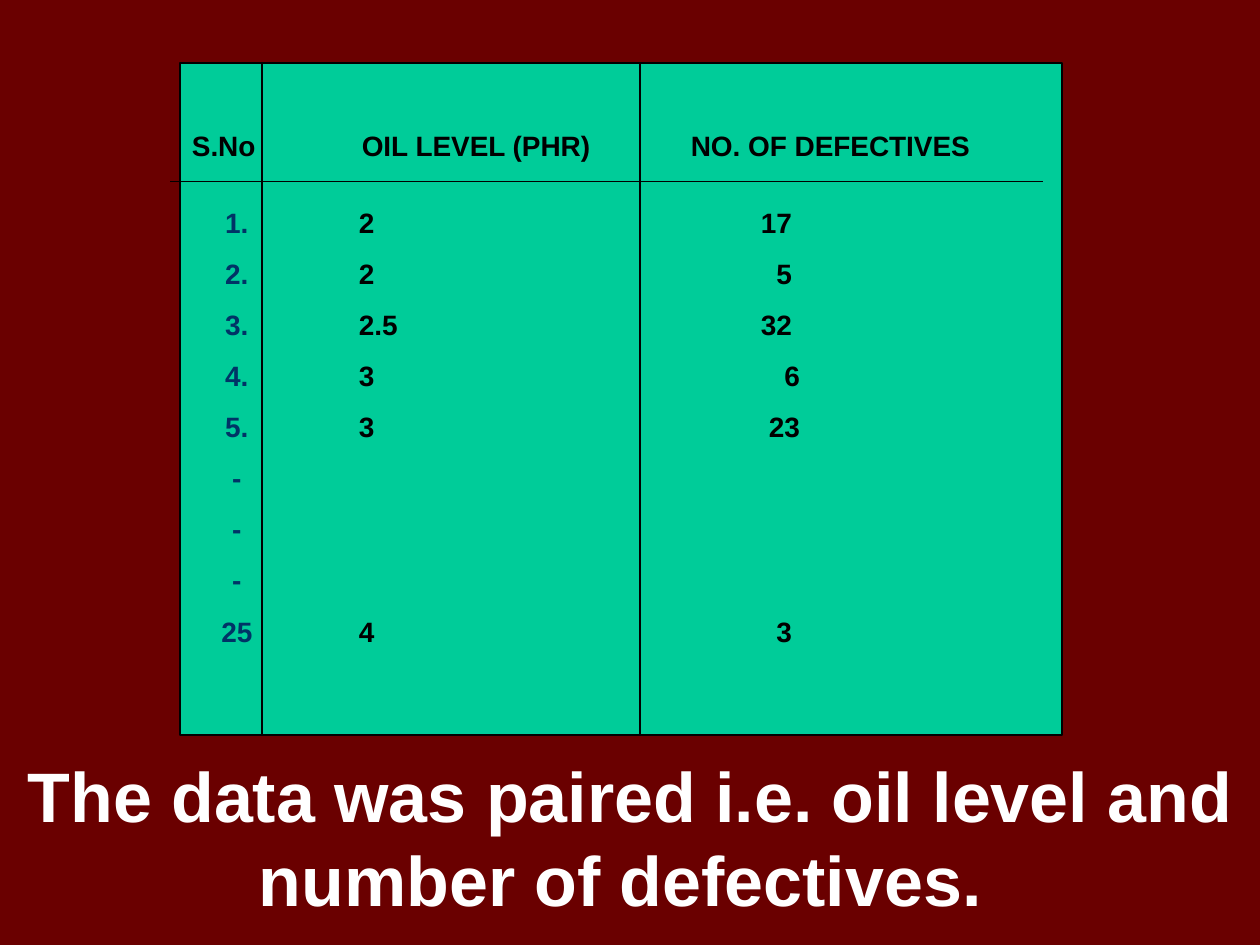
import pptx
import pptx.util
import pptx.dml.color
import pptx.enum.shapes
import pptx.enum.text
import pptx.oxml.ns
import lxml.etree

Pt = pptx.util.Pt
RGBColor = pptx.dml.color.RGBColor
ALIGN = pptx.enum.text.PP_ALIGN
qn = pptx.oxml.ns.qn

MAROON = RGBColor(0x6A, 0x00, 0x00)
GREEN = RGBColor(0x00, 0xCC, 0x99)
NAVY = RGBColor(0x00, 0x33, 0x66)
BLACK = RGBColor(0x00, 0x00, 0x00)
WHITE = RGBColor(0xFF, 0xFF, 0xFF)

ROW_GAP = 10
ROW_PITCH = 29.2
TABLE_TOP, TABLE_BOTTOM = 36, 420
COLUMN_EDGES = (149.76, 365.76)
ROWS_TOP, ROWS_HEIGHT = 113.76, 259.92

SERIALS = ["1.", "2.", "3.", "4.", "5.", "-", "-", "-", "25"]
READINGS = [
    ("2", "17", 247.4, 0),
    ("2", "5", 247.4, 0),
    ("2.5", "32", 247.4, 0),
    ("3", "6", 252, 0),
    ("3", "23", 252, 0),
    ("4", "3", 247.4, 3),
]


class SlideBuilder:
    font_name = "Arial"
    text_size = 16
    line_width = 1

    def __init__(self, slide):
        self.slide = slide

    def background(self, color):
        fill = self.slide.background.fill
        fill.solid()
        fill.fore_color.rgb = color

    def frame(self, shape, insets=(7.2, 3.6, 7.2, 3.6)):
        left, top, right, bottom = insets
        values = {
            "word_wrap": True,
            "auto_size": pptx.enum.text.MSO_AUTO_SIZE.NONE,
            "vertical_anchor": pptx.enum.text.MSO_ANCHOR.TOP,
            "margin_left": Pt(left),
            "margin_top": Pt(top),
            "margin_right": Pt(right),
            "margin_bottom": Pt(bottom),
        }
        for name, value in values.items():
            setattr(shape.text_frame, name, value)
        return shape.text_frame

    def fill_paragraph(
        self, paragraph, text, color, size=text_size, align=ALIGN.LEFT, before=0, tabs=()
    ):
        paragraph.text = text
        paragraph.alignment = align
        paragraph.space_before = Pt(before)
        if tabs:
            tab_list = lxml.etree.SubElement(paragraph._p.get_or_add_pPr(), qn("a:tabLst"))
            for position, side in tabs:
                lxml.etree.SubElement(
                    tab_list, qn("a:tab"), pos=str(int(Pt(position))), algn=side
                )
        values = {"name": self.font_name, "size": Pt(size), "bold": True}
        for name, value in values.items():
            setattr(paragraph.font, name, value)
        for run in paragraph.runs:
            for name, value in values.items():
                setattr(run.font, name, value)
            run.font.color.rgb = color

    def title(self, text, left, top, width, height):
        title = self.slide.shapes.title
        values = {"left": left, "top": top, "width": width, "height": height}
        for name, value in values.items():
            setattr(title, name, Pt(value))
        frame = self.frame(title)
        self.fill_paragraph(frame.paragraphs[0], text, WHITE, 40, ALIGN.CENTER)

    def rectangle(self, left, top, width, height):
        shape = self.slide.shapes.add_shape(
            pptx.enum.shapes.MSO_SHAPE.RECTANGLE, Pt(left), Pt(top), Pt(width), Pt(height)
        )
        shape.shadow.inherit = False
        shape.fill.solid()
        shape.fill.fore_color.rgb = GREEN
        shape.line.color.rgb = BLACK
        shape.line.width = Pt(self.line_width)

    def line(self, start_x, start_y, end_x, end_y):
        connector = self.slide.shapes.add_connector(
            pptx.enum.shapes.MSO_CONNECTOR.STRAIGHT,
            Pt(start_x), Pt(start_y), Pt(end_x), Pt(end_y),
        )
        connector.line.color.rgb = BLACK
        connector.line.width = Pt(self.line_width)
        lxml.etree.SubElement(connector._element.spPr, qn("a:effectLst"))

    def text_box(self, left, top, width, height, lines, color, insets=(7.2, 3.6, 7.2, 3.6)):
        box = self.slide.shapes.add_textbox(Pt(left), Pt(top), Pt(width), Pt(height))
        frame = self.frame(box, insets)
        for index, (text, options) in enumerate(lines):
            paragraph = frame.add_paragraph() if index else frame.paragraphs[0]
            self.fill_paragraph(paragraph, text, color, **options)


def main():
    presentation = pptx.Presentation()
    presentation.slide_width = Pt(720)
    presentation.slide_height = Pt(540)
    builder = SlideBuilder(presentation.slides.add_slide(presentation.slide_layouts[5]))

    builder.background(MAROON)
    builder.title(
        "The data was paired i.e. oil level and number of defectives. ", 0, 426.24, 720, 102.96
    )
    builder.rectangle(102.96, TABLE_TOP, 504, TABLE_BOTTOM - TABLE_TOP)
    builder.line(97.2, 103.68, 596.16, 103.68)
    for edge in COLUMN_EDGES:
        builder.line(edge, TABLE_TOP, edge, TABLE_BOTTOM)

    header = "S.No\tOIL LEVEL (PHR)\tNO. OF DEFECTIVES"
    header_tabs = [(97.1, "l"), (285.1, "l")]
    builder.text_box(
        97.2, 66.24, 465.84, 30.96, [(header, {"tabs": header_tabs})], BLACK, (12.5, 7.3, 0, 3.6)
    )

    serial_lines = [
        (serial, {"align": ALIGN.CENTER, "before": ROW_GAP if index else 0})
        for index, serial in enumerate(SERIALS)
    ]
    builder.text_box(108, ROWS_TOP, 54.72, ROWS_HEIGHT, serial_lines, NAVY)

    reading_lines = [
        (
            f"{level}\t{defectives}",
            {
                "tabs": [(stop, "r")],
                "before": ROW_GAP + skipped * ROW_PITCH if index else 0,
            },
        )
        for index, (level, defectives, stop, skipped) in enumerate(READINGS)
    ]
    builder.text_box(198, ROWS_TOP, 324, ROWS_HEIGHT, reading_lines, BLACK)

    presentation.save("out.pptx")


if __name__ == "__main__":
    main()
